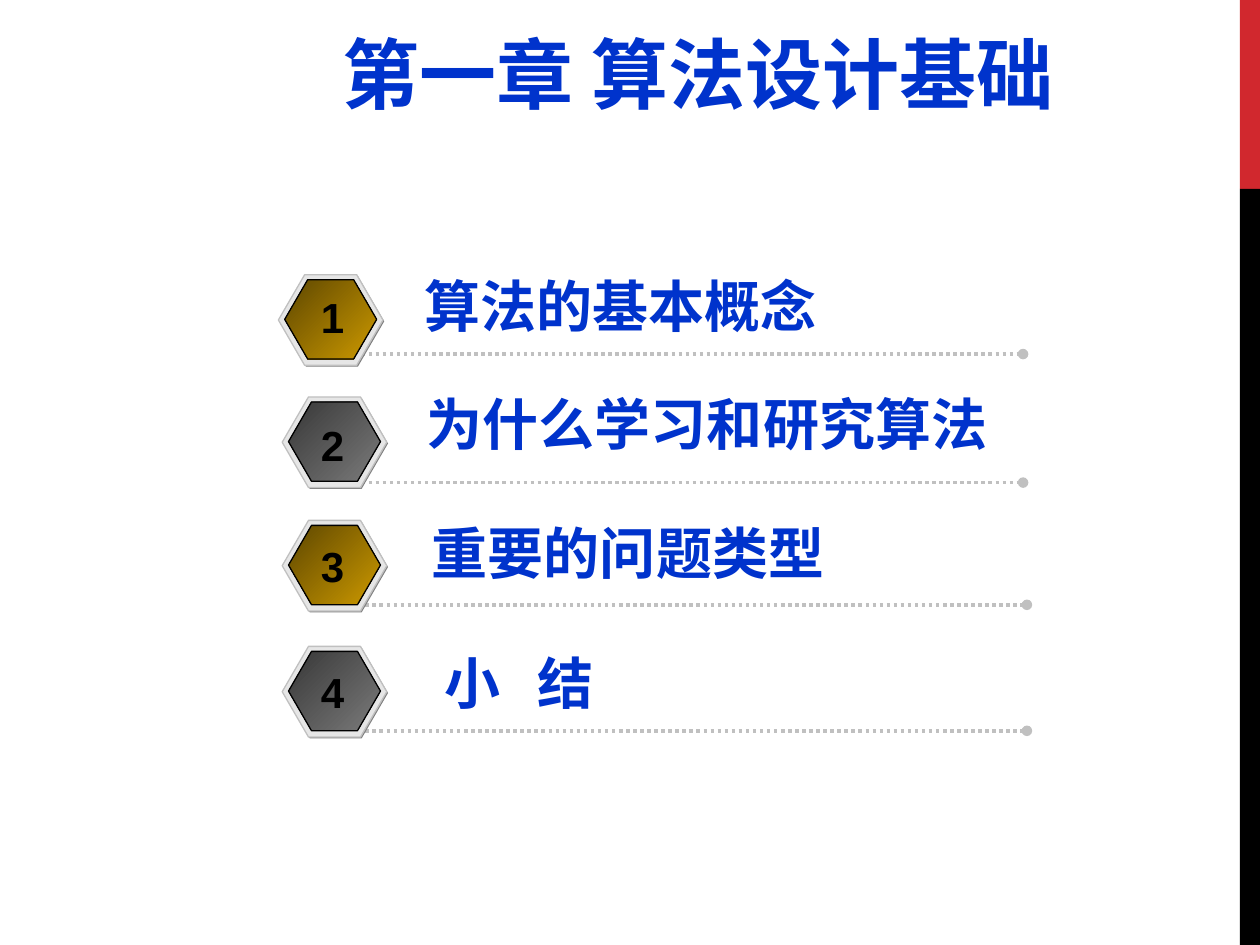
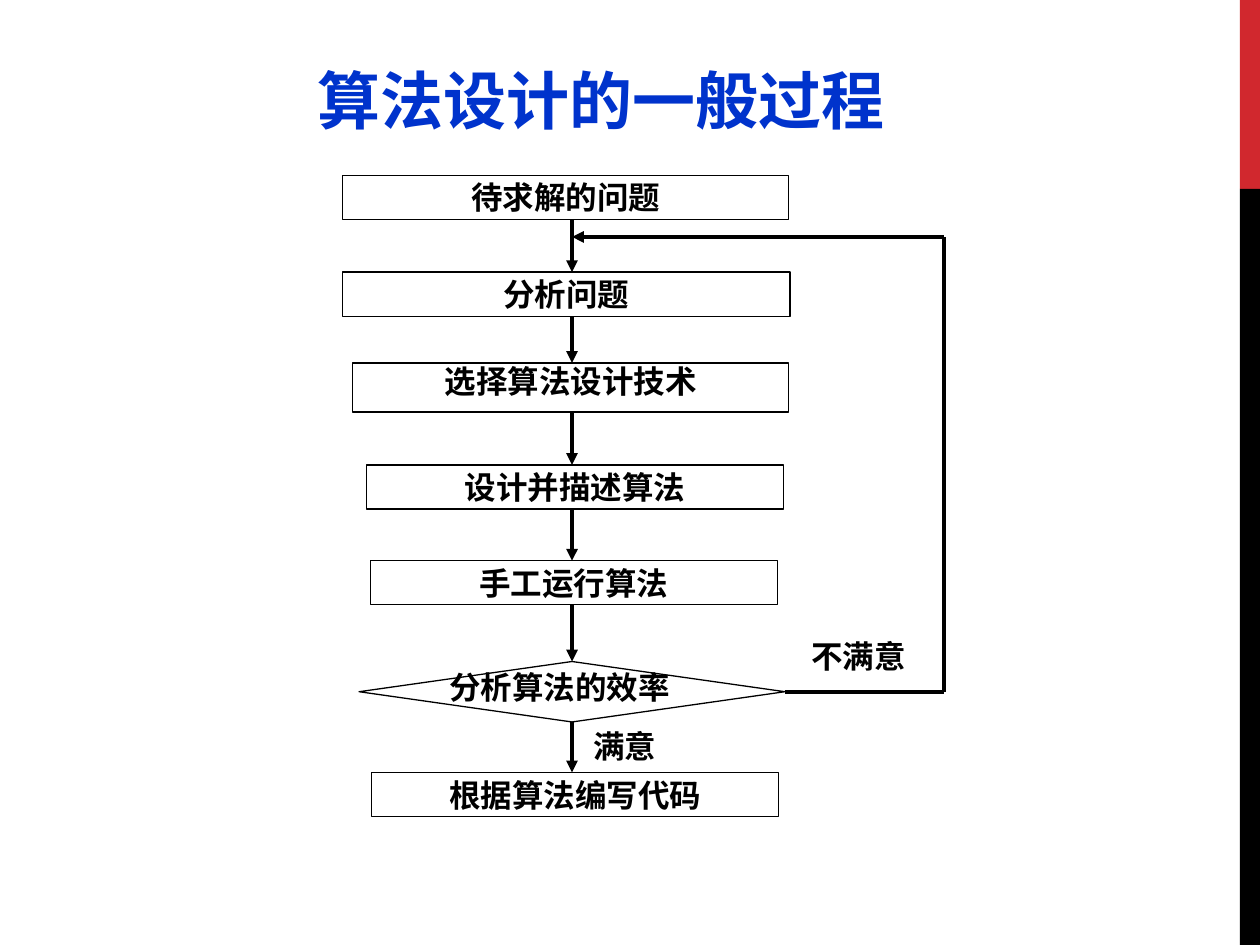
"""Build two slides on algorithm design: a chapter outline and a flowchart."""
from dataclasses import dataclass
from itertools import pairwise

from lxml import etree
from pptx import Presentation
from pptx.dml.color import RGBColor
from pptx.enum.dml import MSO_LINE
from pptx.enum.shapes import MSO_CONNECTOR, MSO_SHAPE
from pptx.enum.text import MSO_ANCHOR, MSO_AUTO_SIZE, PP_ALIGN
from pptx.oxml.ns import qn
from pptx.util import Emu, Pt

PX = 9144
RECTANGLE, HEXAGON, DIAMOND = MSO_SHAPE.RECTANGLE, MSO_SHAPE.HEXAGON, MSO_SHAPE.DIAMOND
STRAIGHT, DOTTED = MSO_CONNECTOR.STRAIGHT, MSO_LINE.ROUND_DOT
LEFT, CENTER = PP_ALIGN.LEFT, PP_ALIGN.CENTER
MIDDLE, FIXED = MSO_ANCHOR.MIDDLE, MSO_AUTO_SIZE.NONE
TOP_SIDE, BOTTOM_SIDE, RIGHT_SIDE = 0, 2, 3

BLUE, BLACK, RED = "0033CC", "000000", "D1282E"
SILVER, PALE, GRAY = "C0C0C0", "E6E6E6", "808080"
GOLD_BLEND, GRAY_BLEND = ("5E4700", "CC9900"), ("383838", "7A7A7A")
CHINESE, SANS, SERIF = "Noto Sans CJK SC", "Arial", "Times New Roman"


@dataclass(frozen=True)
class Area:
    """A rectangle in px."""
    left: int
    top: int
    width: int
    height: int

    @property
    def bottom(self) -> int:
        """Return the lower edge."""
        return self.top + self.height

    def emu(self) -> list[Emu]:
        """Return the four lengths in EMU."""
        return [Emu(n * PX) for n in (self.left, self.top, self.width, self.height)]


@dataclass(frozen=True)
class TextStyle:
    """The look of a bold text."""
    size: int
    font: str
    color: str = BLACK
    align: PP_ALIGN = CENTER
    inset: int = 0
    lift: int = 0


@dataclass(frozen=True)
class Topic:
    """One row of the outline."""
    text: str
    badge: tuple[int, int]
    number_top: int
    rule: tuple[int, int]
    label: tuple[int, int]
    label_width: int = 441
    tracking: int = 0


@dataclass(frozen=True)
class Step:
    """One stage of the flowchart."""
    text: str
    area: Area
    font: str = SERIF
    lift: int = 0


BANDS = ((RED, Area(984, 0, 16, 150)), (BLACK, Area(984, 150, 16, 600)))
TOPIC_STYLE = TextStyle(32, SANS, BLUE, LEFT, 10)
NUMBER_STYLE = TextStyle(24, SANS)
NOTE_STYLE = TextStyle(18, SERIF, align=LEFT, inset=10)
TOPICS = (
    Topic("算法的基本概念", (221, 218), 226, (287, 281), (327, 210)),
    Topic("为什么学习和研究算法", (224, 315), 328, (287, 383), (329, 304), 494),
    Topic("重要的问题类型", (224, 413), 424, (290, 480), (333, 406)),
    Topic("小 结", (224, 513), 524, (290, 580), (343, 509), tracking=700),
)
TRUNK, RETURN_X, RETURN_Y = 454, 749, 188
CHECK = Area(285, 525, 338, 48)
STEPS = (
    Step("待求解的问题", Area(272, 139, 354, 35)),
    Step("分析问题", Area(272, 216, 355, 35), CHINESE),
    Step("选择算法设计技术", Area(280, 288, 346, 39), CHINESE, 10),
    Step("设计并描述算法", Area(291, 369, 331, 35)),
    Step("手工运行算法", Area(294, 445, 323, 35)),
    Step("根据算法编写代码", Area(295, 613, 323, 35)),
)
NOTES = (
    ("不满意", Area(634, 501, 102, 40)),
    ("满意", Area(461, 572, 102, 40)),
)


def rgb(value: str) -> RGBColor:
    """Turn a hex string into a colour."""
    return RGBColor.from_string(value)


def write(frame, text: str, style: TextStyle, tracking: int = 0) -> None:
    """Put one styled line into a text frame."""
    frame.text = text
    frame.word_wrap = True
    frame.auto_size = FIXED
    frame.vertical_anchor = MIDDLE
    frame.margin_left = frame.margin_right = Emu(style.inset * PX)
    frame.margin_top, frame.margin_bottom = Emu(0), Emu(style.lift * PX)
    para = frame.paragraphs[0]
    para.alignment = style.align
    for span in para.runs:
        font = span.font
        font.name, font.size, font.bold = style.font, Pt(style.size), True
        font.color.rgb = rgb(style.color)
        properties = span._r.get_or_add_rPr()
        etree.SubElement(properties, qn("a:ea"), typeface=CHINESE)
        if tracking:
            properties.set("spc", str(tracking))


def add_text(page, area: Area, text: str, style: TextStyle, tracking: int = 0) -> None:
    """Add a text box."""
    box = page.shapes.add_textbox(*area.emu())
    write(box.text_frame, text, style, tracking)


def add_figure(page, kind: MSO_SHAPE, area: Area, fill: str = "", outline: str = ""):
    """Add a preset shape with an optional fill and thin outline."""
    figure = page.shapes.add_shape(kind, *area.emu())
    figure.shadow.inherit = False
    if fill:
        figure.fill.solid()
        figure.fill.fore_color.rgb = rgb(fill)
    else:
        figure.fill.background()
    if outline:
        figure.line.color.rgb = rgb(outline)
        figure.line.width = Pt(0.75)
    else:
        figure.line.fill.background()
    return figure


def add_line(page, start: tuple[int, int], end: tuple[int, int],
             color: str = BLACK, width: float = 2.25, tip: str = "", dash=None):
    """Add a straight connector with an optional tip and dash."""
    link = page.shapes.add_connector(STRAIGHT, *(Emu(n * PX) for n in start + end))
    link.line.color.rgb = rgb(color)
    link.line.width = Pt(width)
    if dash is not None:
        link.line.dash_style = dash
    if tip:
        etree.SubElement(link.line._get_or_add_ln(), qn("a:tailEnd"), type=tip)
    etree.SubElement(link._element.spPr, qn("a:effectLst"))
    return link


def add_page(deck, title: str, area: Area, style: TextStyle):
    """Add a slide with its title placeholder moved and formatted."""
    page = deck.slides.add_slide(deck.slide_layouts.get_by_name("Title Only"))
    heading = page.shapes.title
    heading.left, heading.top, heading.width, heading.height = area.emu()
    write(heading.text_frame, title, style)
    return page


def add_bands(deck, page) -> None:
    """Draw the side bands and move them to the slide master."""
    for number, (color, area) in enumerate(BANDS, start=101):
        band = add_figure(page, RECTANGLE, area, color)
        band.element.nvSpPr.cNvPr.set("id", str(number))
        deck.slide_master.shapes.element.append(band.element)


def add_badge(page, left: int, top: int, blend: tuple[str, str]) -> None:
    """Draw a framed hexagon with a diagonal gradient."""
    figures = (
        add_figure(page, HEXAGON, Area(left + 1, top + 1, 83, 72), GRAY),
        add_figure(page, HEXAGON, Area(left, top, 83, 72), PALE, SILVER),
        add_figure(page, HEXAGON, Area(left + 5, top + 4, 73, 63), outline=BLACK),
    )
    for figure in figures:
        figure.adjustments[0] = 0.29
    core = figures[-1].fill
    core.gradient()
    core.gradient_angle = 315
    for stop, color in zip(core.gradient_stops, blend):
        stop.color.rgb = rgb(color)


def add_topic(page, number: int, topic: Topic) -> None:
    """Draw one outline row."""
    x, y = topic.rule
    add_line(page, (x, y), (x + 525, y), SILVER, 2, "oval", DOTTED)
    add_badge(page, *topic.badge, GOLD_BLEND if number % 2 else GRAY_BLEND)
    add_text(page, Area(245, topic.number_top, 38, 50), str(number), NUMBER_STYLE)
    label = Area(*topic.label, topic.label_width, 64)
    add_text(page, label, topic.text, TOPIC_STYLE, topic.tracking)


def add_flowchart(page) -> None:
    """Draw the stages, the check, the arrows and the return path."""
    for step in STEPS:
        box = add_figure(page, RECTANGLE, step.area, outline=BLACK)
        style = TextStyle(18, step.font, inset=6, lift=step.lift)
        write(box.text_frame, step.text, style)
    check = add_figure(page, DIAMOND, CHECK, outline=BLACK)
    add_text(page, Area(287, 528, 314, 35), "分析算法的效率", TextStyle(18, SERIF, inset=6))

    stops = [step.area for step in STEPS[:-1]] + [CHECK, STEPS[-1].area]
    for upper, lower in pairwise(stops):
        arrow = add_line(page, (TRUNK, upper.bottom), (TRUNK, lower.top), tip="triangle")
        if lower is CHECK:
            arrow.end_connect(check, TOP_SIDE)
        if upper is CHECK:
            arrow.begin_connect(check, BOTTOM_SIDE)

    middle = CHECK.top + CHECK.height // 2
    exit_line = add_line(page, (CHECK.left + CHECK.width, middle), (RETURN_X, middle))
    exit_line.begin_connect(check, RIGHT_SIDE)
    add_line(page, (RETURN_X, middle), (RETURN_X, RETURN_Y))
    add_line(page, (RETURN_X, RETURN_Y), (TRUNK, RETURN_Y), tip="triangle")
    for text, area in NOTES:
        add_text(page, area, text, NOTE_STYLE)


def main() -> None:
    """Build and save the deck."""
    deck = Presentation()
    deck.slide_width, deck.slide_height = Emu(1000 * PX), Emu(750 * PX)

    outline = add_page(deck, "第一章 算法设计基础", Area(272, 21, 669, 73),
                       TextStyle(44, CHINESE, BLUE, LEFT))
    add_bands(deck, outline)
    for number, topic in enumerate(TOPICS, start=1):
        add_topic(outline, number, topic)

    process = add_page(deck, "算法设计的一般过程", Area(242, 44, 680, 70),
                       TextStyle(36, SERIF, BLUE, LEFT, 10))
    add_flowchart(process)
    deck.save("out.pptx")


if __name__ == "__main__":
    main()
